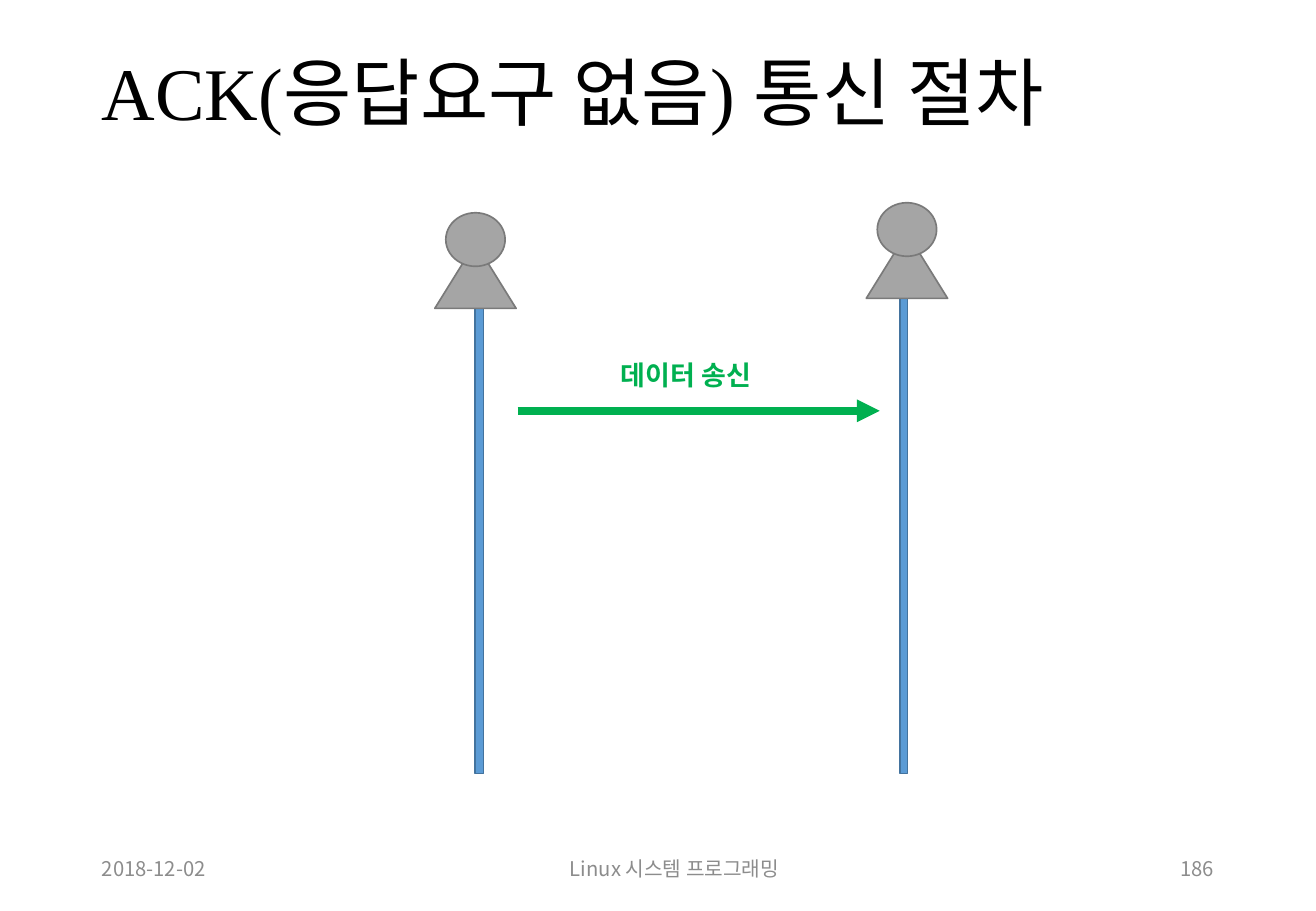
from dataclasses import dataclass

from lxml import etree
from pptx import Presentation
from pptx.dml.color import RGBColor
from pptx.enum import shapes, text
from pptx.oxml import ns
from pptx.util import Cm, Pt

COLORS = {
    "title": "000000",
    "footer": "8C8C8C",
    "lifeline": "5B9BD5",
    "lifeline_edge": "43739E",
    "message": "00B050",
    "person": "A5A5A5",
    "person_edge": "7A7A7A",
}
KOREAN_FONT = "Noto Sans CJK KR"
LIFELINE_BOTTOM = 16.18
ALIGN = text.PP_ALIGN
SHAPE = shapes.MSO_SHAPE


@dataclass
class Participant:
    """A person's top left corner and the lifeline below, in centimetres."""
    left: float
    top: float
    line_left: float
    line_top: float
    line_width: float


@dataclass
class Footer:
    words: str
    left: float
    width: float
    align: ALIGN


PARTICIPANTS = [
    Participant(18.11, 4.24, 18.82, 5.79, 0.15),
    Participant(9.09, 4.45, 9.93, 6.22, 0.18),
]
FOOTERS = [
    Footer("2018-12-02", 1.88, 3.23, ALIGN.LEFT),
    Footer("Linux 시스템 프로그래밍", 11.3, 5.61, ALIGN.CENTER),
    Footer("186", 24.28, 1.35, ALIGN.RIGHT),
]


def rgb(name: str) -> RGBColor:
    return RGBColor.from_string(COLORS[name])


def add_text(slide, words: str, left: float, top: float, width: float, height: float, *,
             size: float, color: str, font: str = KOREAN_FONT, bold: bool = False,
             align: ALIGN = ALIGN.LEFT, anchor=text.MSO_ANCHOR.MIDDLE,
             line_spacing: float = 1.0) -> None:
    box = slide.shapes.add_textbox(Cm(left), Cm(top), Cm(width), Cm(height))
    frame = box.text_frame
    frame.word_wrap = True
    frame.vertical_anchor = anchor
    paragraph = frame.paragraphs[0]
    paragraph.alignment = align
    paragraph.line_spacing = line_spacing
    run = paragraph.add_run()
    run.text = words
    run.font.size = Pt(size)
    run.font.bold = bold
    run.font.color.rgb = rgb(color)
    run.font.name = font
    east_asian = etree.SubElement(run._r.get_or_add_rPr(), ns.qn("a:ea"))
    east_asian.set("typeface", KOREAN_FONT)


def add_figure(slide, kind: SHAPE, left: float, top: float, width: float, height: float,
               color: str) -> None:
    shape = slide.shapes.add_shape(kind, Cm(left), Cm(top), Cm(width), Cm(height))
    shape.shadow.inherit = False
    shape.fill.solid()
    shape.fill.fore_color.rgb = rgb(color)
    shape.line.color.rgb = rgb(f"{color}_edge")
    shape.line.width = Pt(1)


def add_lifeline(slide, who: Participant) -> None:
    add_figure(slide, SHAPE.RECTANGLE, who.line_left, who.line_top, who.line_width,
               LIFELINE_BOTTOM - who.line_top, "lifeline")


def add_person(slide, who: Participant) -> None:
    add_figure(slide, SHAPE.ISOSCELES_TRIANGLE, who.left, who.top + 0.63, 1.7, 1.37, "person")
    add_figure(slide, SHAPE.OVAL, who.left + 0.23, who.top, 1.24, 1.12, "person")


def add_arrow(slide, start: float, end: float, y: float) -> None:
    arrow = slide.shapes.add_connector(
        shapes.MSO_CONNECTOR.STRAIGHT, Cm(start), Cm(y), Cm(end), Cm(y))
    arrow.line.color.rgb = rgb("message")
    arrow.line.width = Pt(4.5)
    etree.SubElement(arrow.line._get_or_add_ln(), ns.qn("a:tailEnd")).set("type", "triangle")
    etree.SubElement(arrow._element.spPr, ns.qn("a:effectLst"))


def main() -> None:
    presentation = Presentation()
    presentation.slide_width, presentation.slide_height = Cm(27.51), Cm(19.05)
    slide = presentation.slides.add_slide(presentation.slide_layouts[6])

    add_text(slide, "ACK(응답요구 없음) 통신 절차", 1.88, 1.02, 23.72, 2.01,
             size=44, color="title", font="Times New Roman", line_spacing=0.9)
    for footer in FOOTERS:
        add_text(slide, footer.words, footer.left, 17.65, footer.width, 1.02,
                 size=12, color="footer", align=footer.align)

    for who in PARTICIPANTS:
        add_lifeline(slide, who)
        add_person(slide, who)

    add_arrow(slide, 10.82, 18.39, 8.59)
    add_text(slide, "데이터 송신", 12.73, 7.37, 3.48, 0.94, size=16, color="message",
             font="Calibri", bold=True, anchor=text.MSO_ANCHOR.TOP)
    presentation.save("out.pptx")


if __name__ == "__main__":
    main()
